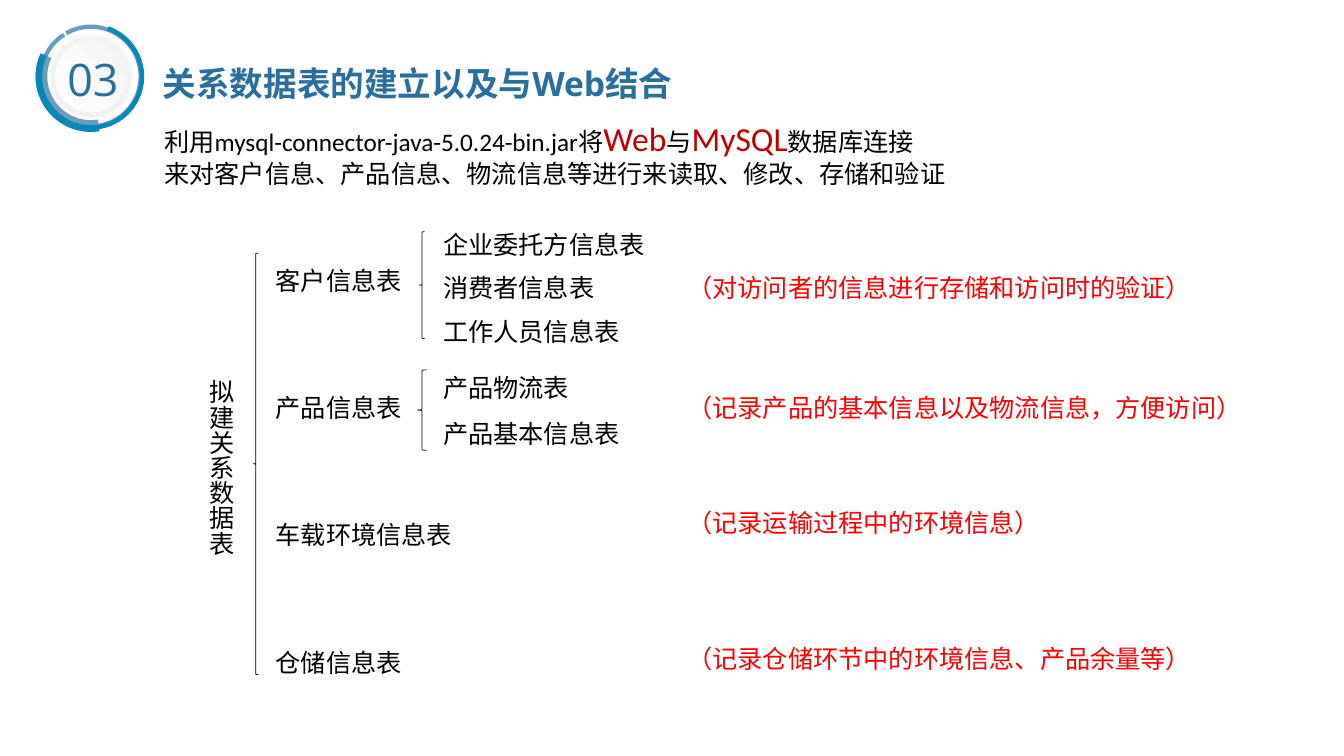
from dataclasses import dataclass

from lxml.etree import SubElement
from pptx import Presentation
from pptx.dml.color import RGBColor
from pptx.enum.shapes import MSO_SHAPE as Shape
from pptx.enum.text import MSO_ANCHOR as Anchor, MSO_AUTO_SIZE as AutoSize, PP_ALIGN as Align
from pptx.oxml.ns import qn
from pptx.util import Cm, Pt

BLACK = RGBColor(0x00, 0x00, 0x00)
WHITE = RGBColor(0xFF, 0xFF, 0xFF)
PALE_GREY = RGBColor(0xF2, 0xF2, 0xF2)
TITLE_BLUE = RGBColor(0x29, 0x6F, 0x9B)
SOFT_BLUE = RGBColor(0x67, 0x9E, 0xBE)
RING_BLUE = RGBColor(0x08, 0x87, 0xBA)
DARK_RED = RGBColor(0xC0, 0x00, 0x00)
RED = RGBColor(0xFF, 0x00, 0x00)

HEADING_FONT = "Open Sans"
BODY_FONT = "Calibri"
ROW_HEIGHT = 1.02
ROW_STEP = 3.21


@dataclass
class TableGroup:
    """A relation table with its sub-tables and its purpose."""
    label: str
    note: str
    note_shift: float = 0
    children: tuple = ()
    child_top: float = 0
    child_step: float = 0
    brace: tuple = ()


GROUPS = [
    TableGroup("客户信息表", "（对访问者的信息进行存储和访问时的验证）", 0.2,
               ("企业委托方信息表", "消费者信息表", "工作人员信息表"),
               0, 1.09, (5.77, 0.18, 0.13, 2.69)),
    TableGroup("产品信息表", "（记录产品的基本信息以及物流信息，方便访问）", 0,
               ("产品物流表", "产品基本信息表"),
               3.59, 1.17, (5.72, 3.66, 0.23, 2.03)),
    TableGroup("车载环境信息表", "（记录运输过程中的环境信息）", -0.3),
    TableGroup("仓储信息表", "（记录仓储环节中的环境信息、产品余量等）", -0.1),
]


def add_run(paragraph, text, size, color, font=BODY_FONT, bold=False):
    """Append one formatted run."""
    run = paragraph.add_run()
    run.text = text
    run.font.name = font
    run.font.size = Pt(size)
    run.font.bold = bold
    run.font.color.rgb = color


def add_text_box(shapes, left, top, width, height, wrap=False):
    """Add an empty text box and return its text frame."""
    frame = shapes.add_textbox(Cm(left), Cm(top), Cm(width), Cm(height)).text_frame
    frame.word_wrap = wrap
    return frame


def add_label(shapes, left, top, text, color=BLACK):
    """Add a one-line label whose width follows its character count."""
    frame = add_text_box(shapes, left, top, len(text) * 0.64 + 0.52, ROW_HEIGHT)
    add_run(frame.paragraphs[0], text, 18, color)


def add_outline(shapes, kind, left, top, width, height, color, weight):
    """Add an unfilled preset shape with a coloured line."""
    shape = shapes.add_shape(kind, Cm(left), Cm(top), Cm(width), Cm(height))
    shape.shadow.inherit = False
    shape.fill.background()
    shape.line.color.rgb = color
    shape.line.width = Pt(weight)
    return shape


def add_ring(shapes, kind, center_x, center_y, size, color, weight):
    """Add a turned round outline about a centre."""
    ring = add_outline(shapes, kind, center_x - size / 2, center_y - size / 2,
                       size, size, color, weight)
    ring.rotation = 75
    return ring


def add_arc(shapes, center_x, center_y, size, start, end, color, weight):
    """Add a turned arc between two angles in degrees."""
    arc = add_ring(shapes, Shape.ARC, center_x, center_y, size, color, weight)
    arc.adjustments[0] = start * 0.6
    arc.adjustments[1] = end * 0.6


def add_disc(shapes, center_x, center_y, size):
    """Add the shaded disc with a soft shadow."""
    disc = add_ring(shapes, Shape.OVAL, center_x, center_y, size, PALE_GREY, 2)
    disc.fill.gradient()
    disc.fill.gradient_angle = 110
    for stop, color in zip(disc.fill.gradient_stops, (WHITE, PALE_GREY)):
        stop.color.rgb = color
    effects = disc._element.spPr.find(qn("a:effectLst"))
    shadow = SubElement(effects, qn("a:outerShdw"), blurRad=str(Pt(5)), dist="0", dir="0")
    tint = SubElement(shadow, qn("a:srgbClr"), val=str(BLACK))
    SubElement(tint, qn("a:alpha"), val="11000")


def draw_badge(slide, left, top, size):
    """Draw the section number inside its rings."""
    center_x, center_y = left + size / 2, top + size / 2
    shapes = slide.shapes.add_group_shape().shapes
    add_arc(shapes, center_x, center_y, size - 0.13, 165.43, 162.43, SOFT_BLUE, 3)
    add_arc(shapes, center_x, center_y, size - 0.15, 5.93, 129.81, SOFT_BLUE, 8.25)
    add_arc(shapes, center_x, center_y, size - 0.07, 214.49, 129.81, RING_BLUE, 3.25)
    add_disc(shapes, center_x, center_y, size - 0.76)
    add_arc(shapes, center_x, center_y, size, 5.93, 129.81, RING_BLUE, 4.25)
    frame = add_text_box(slide.shapes, left + 0.48, top + 0.58, 1.8, 1.63)
    add_run(frame.paragraphs[0], "03", 32, TITLE_BLUE, HEADING_FONT)


def draw_title(slide, left, top, width, height):
    """Place the slide title."""
    title = slide.shapes.title
    title.left, title.top, title.width, title.height = map(Cm, (left, top, width, height))
    frame = title.text_frame
    frame.auto_size = AutoSize.NONE
    frame.vertical_anchor = Anchor.TOP
    frame.word_wrap = True
    paragraph = frame.paragraphs[0]
    paragraph.alignment = Align.CENTER
    paragraph.line_spacing = 2.0
    add_run(paragraph, "关系数据表的建立以及与Web结合", 24, TITLE_BLUE, HEADING_FONT, True)


def draw_intro(slide, left, top, width, height):
    """Write the two introductory paragraphs."""
    frame = add_text_box(slide.shapes, left, top, width, height, wrap=True)
    first = frame.paragraphs[0]
    add_run(first, "利用mysql-connector-java-5.0.24-bin.jar将", 18, BLACK)
    add_run(first, "Web", 24, DARK_RED)
    add_run(first, "与", 18, BLACK)
    add_run(first, "MySQL", 24, DARK_RED)
    add_run(first, "数据库连接", 18, BLACK)
    add_run(frame.add_paragraph(), "来对客户信息、产品信息、物流信息等进行来读取、修改、存储和验证",
            18, BLACK)


def draw_table_tree(slide, left, top):
    """Draw the bracketed tree of relation tables."""
    shapes = slide.shapes.add_group_shape().shapes

    def add_brace(x, y, width, height):
        """Add a thin left brace inside the tree."""
        add_outline(shapes, Shape.LEFT_BRACE, left + x, top + y, width, height, BLACK, 0.5)

    frame = add_text_box(shapes, left, top + 3.66, 1.27, 4.75)
    frame._txBody.bodyPr.set("vert", "eaVert")
    add_run(frame.paragraphs[0], "拟建关系数据表", 18, BLACK)
    add_brace(1.58, 0.72, 0.13, 10.62)
    for index, group in enumerate(GROUPS):
        row_top = top + 0.89 + index * ROW_STEP
        add_label(shapes, left + 1.9, row_top, group.label)
        add_label(shapes, left + 12.27, row_top + group.note_shift, group.note, RED)
        if group.brace:
            add_brace(*group.brace)
        for position, child in enumerate(group.children):
            child_top = top + group.child_top + position * group.child_step
            add_label(shapes, left + 6.12, child_top, child)


def main():
    """Build and save the slide."""
    presentation = Presentation()
    presentation.slide_width = Cm(33.87)
    presentation.slide_height = Cm(19.05)
    slide = presentation.slides.add_slide(presentation.slide_layouts[5])
    draw_badge(slide, 0.97, 0.61, 2.64)
    draw_title(slide, 3.25, 0.43, 14.55, 2.31)
    draw_intro(slide, 3.89, 2.84, 20.3, 2.82)
    draw_table_tree(slide, 4.8, 5.66)
    presentation.save("out.pptx")


if __name__ == "__main__":
    main()
